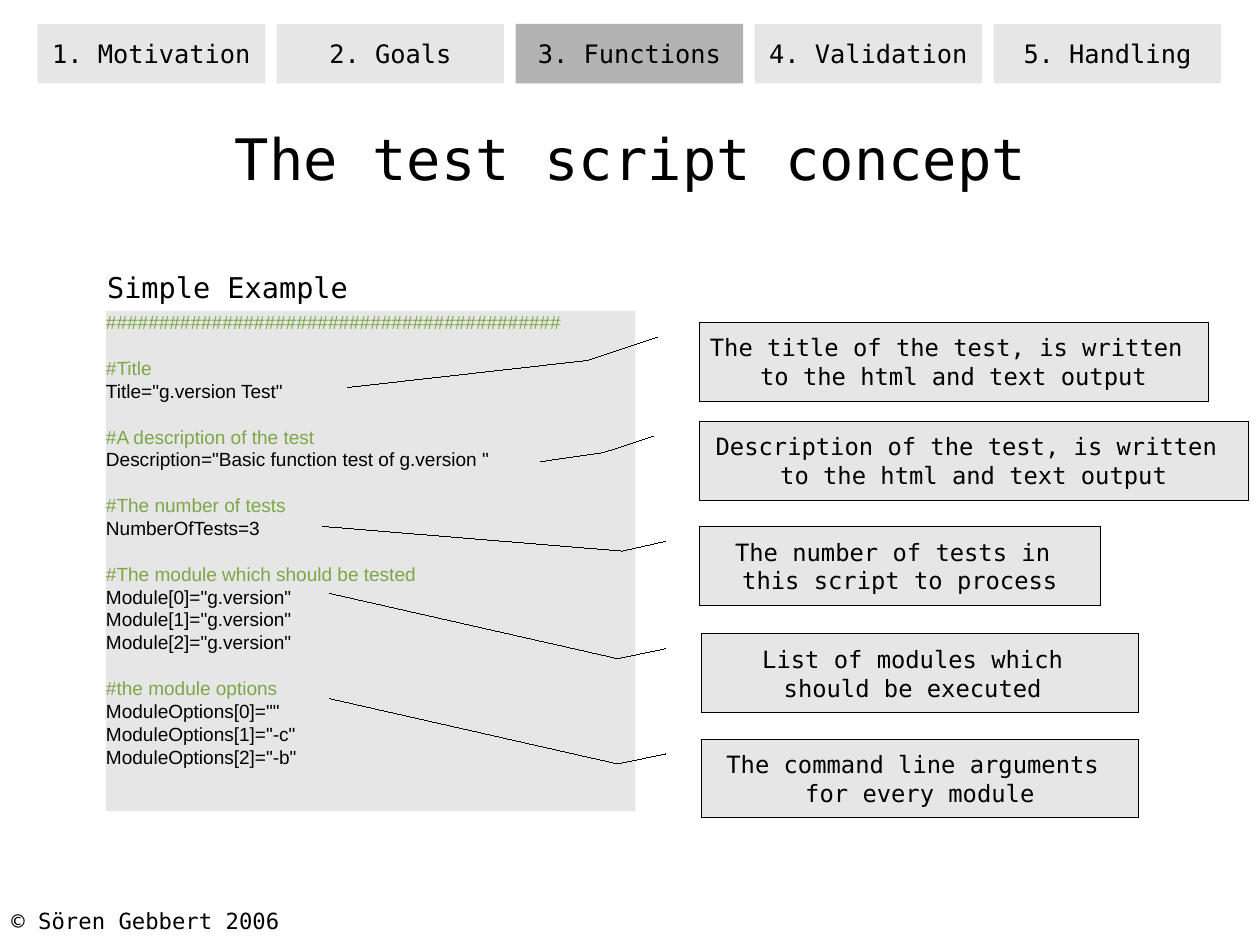
from dataclasses import dataclass

from pptx import Presentation
from pptx.dml.color import RGBColor
from pptx.enum.shapes import MSO_SHAPE
from pptx.enum.text import MSO_ANCHOR, PP_ALIGN
from pptx.util import Cm, Pt

MONO, SANS = "DejaVu Sans Mono", "Arial"
BLACK, GREEN, LIGHT, MEDIUM = "000000", "7DA647", "E6E6E6", "B3B3B3"
CODE_SIZE, BLANK_LINE = 12, 14.4


@dataclass(frozen=True)
class Area:
    """A rectangle in percent of the slide's width and height."""
    left: float
    top: float
    width: float
    height: float


@dataclass(frozen=True)
class Callout:
    """A framed note whose leader bends once; leader points are percents of the note."""
    left: float
    top: float
    width: float
    lines: tuple[str, str]
    bend: tuple[float, float]
    target: tuple[float, float]


TABS = ("1. Motivation", "2. Goals", "3. Functions", "4. Validation", "5. Handling")
ACTIVE_TAB = 2
TAB_LEFT, TAB_PITCH = 2.98, 18.97

CODE_BLOCKS = (
    ("###########################################",),
    ("#Title", 'Title="g.version Test"'),
    ("#A description of the test", 'Description="Basic function test of g.version "'),
    ("#The number of tests", "NumberOfTests=3"),
    ("#The module which should be tested",
     'Module[0]="g.version"', 'Module[1]="g.version"', 'Module[2]="g.version"'),
    ("#the module options",
     'ModuleOptions[0]=""', 'ModuleOptions[1]="-c"', 'ModuleOptions[2]="-b"'),
)

CALLOUT_HEIGHT = 8.34
LEADER_START = (18.8, -8.3)
CALLOUTS = (
    Callout(55.5, 34.1, 40.38,
            ("The title of the test, is written ", "to the html and text output"),
            (48.5, -22), (82.8, -69.1)),
    Callout(55.5, 44.58, 43.56,
            ("Description of the test, is written ", "to the html and text output"),
            (39.9, -17.6), (51.3, -29)),
    Callout(55.5, 55.7, 31.85,
            ("The number of tests in ", "this script to process"),
            (31.4, -19.2), (0.1, -93.8)),
    Callout(55.68, 67.08, 34.66,
            ("List of modules which ", "should be executed "),
            (31.4, -19.2), (-51.4, -85.1)),
    Callout(55.68, 78.22, 34.66,
            ("The command line arguments ", "for every module"),
            (31.4, -19.2), (-51.4, -85.1)),
)


def color(hex_value: str) -> RGBColor:
    """Turn a hex string into a colour."""
    return RGBColor.from_string(hex_value)


def place(deck, area: Area) -> tuple[int, int, int, int]:
    """Turn percents into slide lengths."""
    return (int(deck.slide_width * area.left / 100), int(deck.slide_height * area.top / 100),
            int(deck.slide_width * area.width / 100), int(deck.slide_height * area.height / 100))


def style(para, size: float, font: str = MONO, ink: str = BLACK, align=PP_ALIGN.LEFT) -> None:
    """Set the font and alignment of a paragraph."""
    para.alignment = align
    para.font.name = font
    para.font.size = Pt(size)
    para.font.color.rgb = color(ink)


def prepare_frame(box, anchor=MSO_ANCHOR.TOP, wrap: bool = True):
    """Clear the margins of a box and return its text frame."""
    frame = box.text_frame
    frame.margin_left = frame.margin_top = frame.margin_right = frame.margin_bottom = 0
    frame.vertical_anchor = anchor
    frame.word_wrap = wrap
    return frame


def add_filled(deck, page, area: Area, fill: str, preset=MSO_SHAPE.RECTANGLE):
    """Add a flat shape without an outline."""
    box = page.shapes.add_shape(preset, *place(deck, area))
    box.shadow.inherit = False
    box.fill.solid()
    box.fill.fore_color.rgb = color(fill)
    box.line.fill.background()
    return box


def write_centered(box, lines: tuple[str, ...], size: float) -> None:
    """Write lines in the middle of a box."""
    frame = prepare_frame(box, MSO_ANCHOR.MIDDLE)
    for index, line in enumerate(lines):
        para = frame.add_paragraph() if index else frame.paragraphs[0]
        para.text = line
        style(para, size, align=PP_ALIGN.CENTER)


def add_label(deck, page, area: Area, text: str, size: float) -> None:
    """Add a single left-aligned line of text."""
    box = page.shapes.add_textbox(*place(deck, area))
    para = prepare_frame(box, wrap=False).paragraphs[0]
    para.text = text
    style(para, size)


def add_code(deck, page, area: Area) -> None:
    """Add the code panel with green comments and a gap before each block."""
    frame = prepare_frame(add_filled(deck, page, area, LIGHT))
    for block_index, block in enumerate(CODE_BLOCKS):
        for line_index, line in enumerate(block):
            first = block_index == line_index == 0
            para = frame.paragraphs[0] if first else frame.add_paragraph()
            para.text = line
            if block_index and not line_index:
                para.space_before = Pt(BLANK_LINE)
            style(para, CODE_SIZE, SANS, GREEN if line.startswith("#") else BLACK)


def add_callout(deck, page, callout: Callout) -> None:
    """Add a hairline-framed note with its bent leader."""
    area = Area(callout.left, callout.top, callout.width, CALLOUT_HEIGHT)
    box = add_filled(deck, page, area, LIGHT, MSO_SHAPE.LINE_CALLOUT_2)
    box.line.color.rgb = color(BLACK)
    box.element.spPr.ln.set("w", "0")
    for index, value in enumerate(LEADER_START + callout.bend + callout.target):
        box.adjustments[index] = value / 100
    write_centered(box, callout.lines, 15)


def main() -> None:
    """Build the slide and save it."""
    deck = Presentation()
    deck.slide_width, deck.slide_height = Cm(28), Cm(21)
    page = deck.slides.add_slide(deck.slide_layouts[6])
    add_code(deck, page, Area(8.41, 32.89, 42.01, 52.96))
    add_label(deck, page, Area(8.5, 28.54, 19.15, 3.51), "Simple Example", 18)
    title = page.shapes.add_textbox(*place(deck, Area(7.35, 8.34, 85.39, 16.69)))
    write_centered(title, ("The test script concept",), 36)
    add_label(deck, page, Area(0.91, 95.98, 22.23, 2.78), "© Sören Gebbert 2006", 14)
    for index, name in enumerate(TABS):
        area = Area(TAB_LEFT + index * TAB_PITCH, 2.54, 18.06, 6.29)
        fill = MEDIUM if index == ACTIVE_TAB else LIGHT
        write_centered(add_filled(deck, page, area, fill), (name,), 16)
    for callout in CALLOUTS:
        add_callout(deck, page, callout)
    deck.save("out.pptx")


if __name__ == "__main__":
    main()
